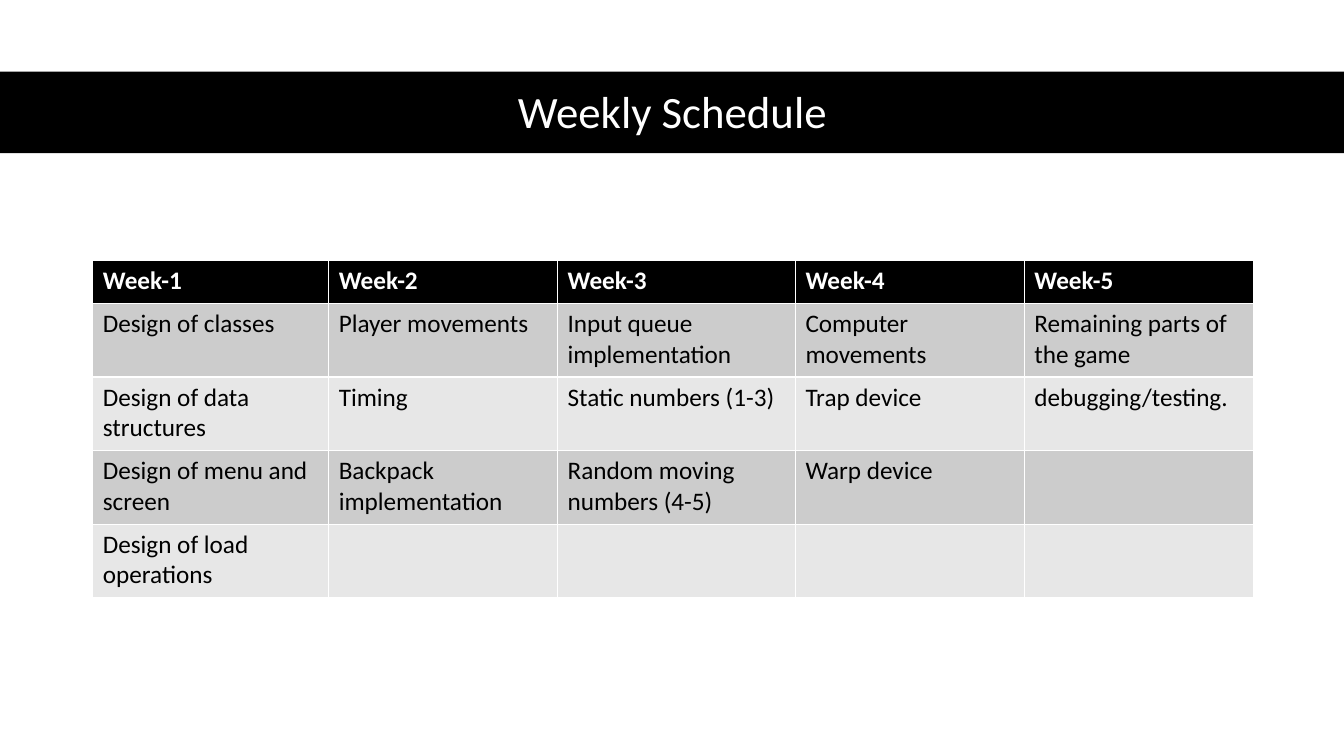
import pptx
import pptx.util
import pptx.dml.color
import pptx.enum.shapes
import pptx.enum.text
from pptx.util import Inches

COLOURS = {"black": "000000", "white": "FFFFFF", "dark_band": "CCCCCC", "light_band": "E7E7E7"}
FONT = "Calibri"


def colour(name):
    return pptx.dml.color.RGBColor.from_string(COLOURS[name])


def style_font(font, size, colour_name, bold=False):
    font.name = FONT
    font.size = pptx.util.Pt(size)
    font.bold = bold
    font.color.rgb = colour(colour_name)


presentation = pptx.Presentation()
presentation.slide_width = Inches(13.33)
presentation.slide_height = Inches(7.5)
slide = presentation.slides.add_slide(presentation.slide_layouts[5])

title_band = slide.shapes.add_shape(
    pptx.enum.shapes.MSO_SHAPE.RECTANGLE, 0, Inches(0.71), Inches(13.33), Inches(0.81)
)
title_band.shadow.inherit = False
title_band.fill.solid()
title_band.fill.fore_color.rgb = colour("black")
title_band.line.fill.background()

title = slide.shapes.title
title_band._element.addnext(title._element)
title.left, title.top = Inches(0.92), Inches(0.74)
title.width, title.height = Inches(11.5), Inches(0.78)
title.text_frame.text = "Weekly Schedule"
title.text_frame.vertical_anchor = pptx.enum.text.MSO_ANCHOR.MIDDLE
heading = title.text_frame.paragraphs[0]
heading.alignment = pptx.enum.text.PP_ALIGN.CENTER
heading.line_spacing = 0.9
style_font(heading.font, 32, "white")

weekly_tasks = [
    [f"Week-{week}" for week in range(1, 6)],
    ["Design of classes", "Player movements", "Input queue implementation",
     "Computer movements", "Remaining parts of the game"],
    ["Design of data structures", "Timing", "Static numbers (1-3)",
     "Trap device", "debugging/testing."],
    ["Design of menu and screen", "Backpack implementation",
     "Random moving numbers (4-5)", "Warp device", ""],
    ["Design of load operations", "", "", "", ""],
]
week_widths = [2.34, 2.27, 2.36, 2.27, 2.27]
row_heights = [0.43] + [0.73] * 4

schedule = slide.shapes.add_table(
    len(row_heights), len(week_widths), Inches(0.92), Inches(2.58), Inches(11.5), Inches(3.35)
).table
for column, width in zip(schedule.columns, week_widths):
    column.width = Inches(width)

for row_index, (row, height, tasks) in enumerate(zip(schedule.rows, row_heights, weekly_tasks)):
    row.height = Inches(height)
    is_header = row_index == 0
    if is_header:
        row_fill = "black"
    else:
        row_fill = "dark_band" if row_index % 2 else "light_band"
    for cell, task in zip(row.cells, tasks):
        cell.fill.solid()
        cell.fill.fore_color.rgb = colour(row_fill)
        cell.text = task
        style_font(cell.text_frame.paragraphs[0].font, 18, "white" if is_header else "black", is_header)

presentation.save("out.pptx")
